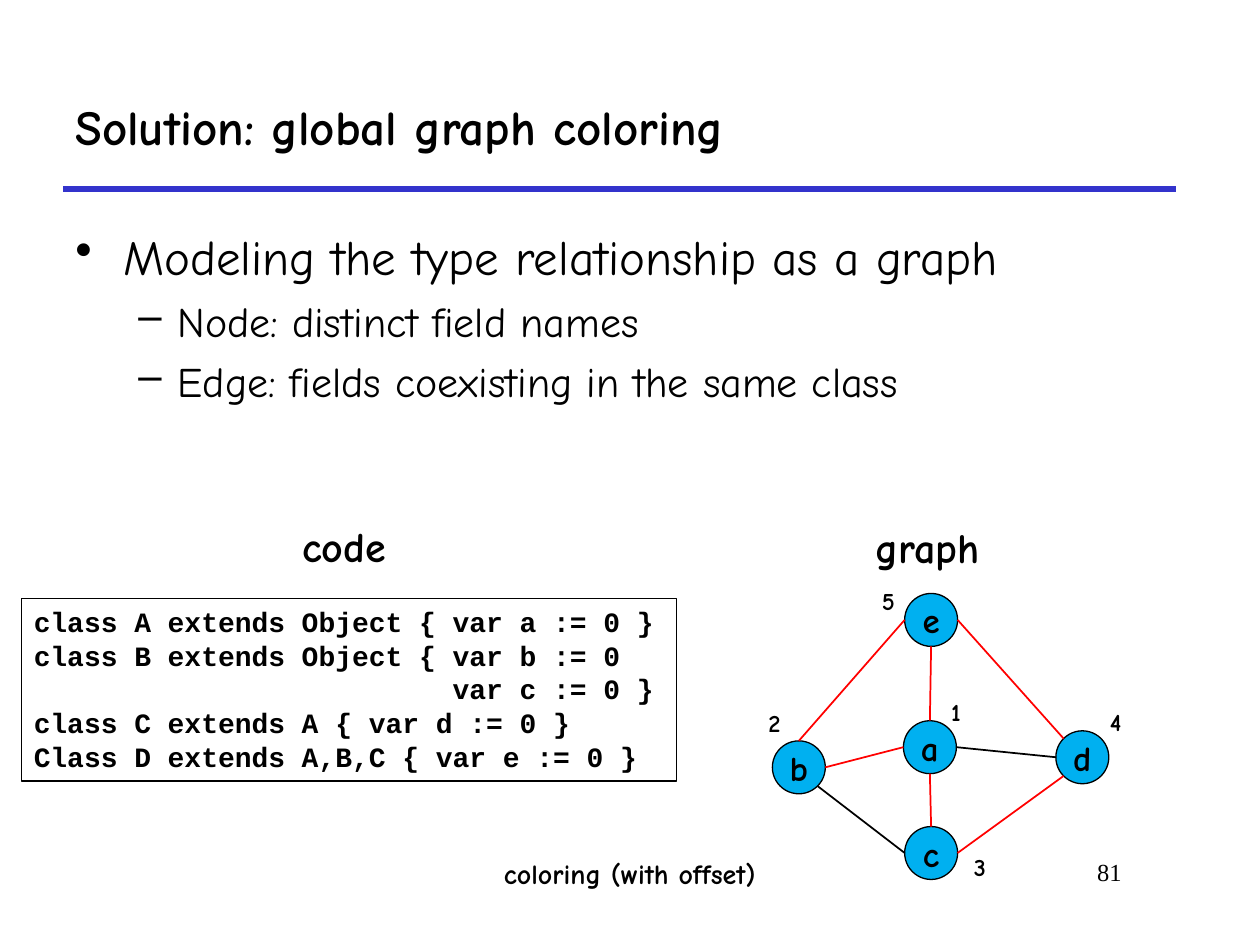
import math
from lxml import etree
from pptx import Presentation
from pptx import util as u
from pptx.dml.color import RGBColor
from pptx.enum import shapes, text
from pptx.oxml.ns import qn

# Content
COMIC, MONO, SERIF = "Comic Neue", "Courier New", "Times New Roman"
BLACK, RED, BLUE, RULE = "000000", "FF0000", "00B0F0", "3333CC"

TITLE = "Solution: global graph coloring"
BULLETS = [  # text, size, bullet, left margin, hanging indent, space before
    ("Modeling the type relationship as a graph", 28, "•", 0.38, 0.38, 0),
    ("Node: distinct field names", 24, "–", 0.81, 0.31, 5.5),
    ("Edge: fields coexisting in the same class", 24, "–", 0.81, 0.31, 5.5),
]
CODE = [
    "class A extends Object { var a := 0 }",
    "class B extends Object { var b := 0",
    "                         var c := 0 }",
    "class C extends A { var d := 0 }",
    "Class D extends A,B,C { var e := 0 }",
]
LABELS = [  # text, box, size
    ("code", (2.3, 4.08, 0.94, 0.51), 24),
    ("graph", (6.85, 4.09, 1.09, 0.5), 24),
    ("coloring (with offset)", (3.9, 6.75, 2.45, 0.37), 16),
]
DIAMETER = 0.42
NODES = {  # name: left, top
    "e": (7.18, 4.71), "b": (6.13, 5.88), "c": (7.18, 6.56),
    "d": (8.38, 5.8), "a": (7.17, 5.72),
}
EDGES = [  # node, angle on its rim, node, angle on its rim, colour
    ("b", 45, "c", 180, BLACK), ("a", 0, "d", 180, BLACK),
    ("a", 270, "e", 90, RED), ("c", 270, "a", 90, RED),
    ("a", 180, "b", 0, RED), ("b", 270, "e", 180, RED),
    ("d", 225, "e", 0, RED), ("d", 135, "c", 0, RED),
]
OFFSETS = {  # colour number: left, top
    "1": (7.45, 5.48), "2": (6, 5.57), "5": (6.9, 4.6),
    "3": (7.63, 6.71), "4": (8.71, 5.56),
}

prs = Presentation()
prs.slide_width, prs.slide_height = u.Inches(10), u.Inches(7.5)
s = prs.slides.add_slide(prs.slide_layouts[6])


def rgb(value):
    return RGBColor.from_string(value)


def style(p, size, name=COMIC, bold=True):
    for key, value in {"size": u.Pt(size), "name": name, "bold": bold}.items():
        setattr(p.font, key, value)
    p.font.color.rgb = rgb(BLACK)


def text_box(lines, box, size, name=COMIC, bold=True, wrap=False,
             anchor=text.MSO_ANCHOR.TOP, align=text.PP_ALIGN.LEFT):
    sp = s.shapes.add_textbox(*map(u.Inches, box))
    tf = sp.text_frame
    tf.word_wrap, tf.vertical_anchor = wrap, anchor
    for i, line in enumerate(lines):
        p = tf.add_paragraph() if i else tf.paragraphs[0]
        p.text, p.alignment = line, align
        style(p, size, name, bold)
    return sp


def line(start, end, color, width):
    cx = s.shapes.add_connector(
        shapes.MSO_CONNECTOR.STRAIGHT, *map(u.Inches, (*start, *end)))
    cx.line.color.rgb, cx.line.width = rgb(color), u.Pt(width)
    etree.SubElement(cx._element.spPr, qn("a:effectLst"))


def rim(name, angle):
    """Point on a node's circle; angles run clockwise from the right."""
    r, a = DIAMETER / 2, math.radians(angle)
    left, top = NODES[name]
    return left + r + r * math.cos(a), top + r + r * math.sin(a)


# Title and rule
line((0.5, 1.5), (9.33, 1.5), RULE, 3)
text_box([TITLE], (0.5, 0.5, 8.83, 1), 28, wrap=True,
         anchor=text.MSO_ANCHOR.MIDDLE)

# Bullets
body = text_box([b[0] for b in BULLETS], (0.5, 1.75, 9.08, 4.83), 24,
                bold=False, wrap=True)
for p, (_, size, mark, margin, hang, before) in zip(
        body.text_frame.paragraphs, BULLETS):
    p.level = 0 if mark == "•" else 1
    p.space_before = u.Pt(before)
    pPr = p._p.get_or_add_pPr()
    pPr.set("marL", str(u.Inches(margin)))
    pPr.set("indent", str(-u.Inches(hang)))
    bu = etree.Element(qn("a:buChar"), char=mark)
    pPr.find(qn("a:spcBef")).addnext(bu)
    style(p, size, bold=False)

# Slide number
text_box(["81"], (7.58, 6.75, 1.42, 0.5), 14, SERIF, bold=False, wrap=True,
         align=text.PP_ALIGN.RIGHT)

# Code listing and labels
code = text_box(CODE, (0.17, 4.75, 5.2, 1.45), 16, MONO)
code.line.color.rgb, code.line.width = rgb(BLACK), u.Pt(1)
for label, box, size in LABELS:
    text_box([label], box, size)

# Graph nodes
for name, (left, top) in NODES.items():
    sp = s.shapes.add_shape(
        shapes.MSO_SHAPE.OVAL, *map(u.Inches, (left, top, DIAMETER, DIAMETER)))
    sp.shadow.inherit = False
    sp.fill.solid()
    sp.fill.fore_color.rgb = rgb(BLUE)
    sp.line.color.rgb, sp.line.width = rgb(BLACK), u.Pt(0.75)
    tf = sp.text_frame
    for side in ("left", "top", "right", "bottom"):
        setattr(tf, f"margin_{side}", 0)
    tf.word_wrap, tf.vertical_anchor = False, text.MSO_ANCHOR.MIDDLE
    p = tf.paragraphs[0]
    p.text, p.alignment = name, text.PP_ALIGN.CENTER
    style(p, 20)

# Graph edges and offsets
for first, a, second, b, color in EDGES:
    line(rim(first, a), rim(second, b), color, 1)
for number, (left, top) in OFFSETS.items():
    text_box([number], (left, top, 0.32, 0.34), 14)

prs.save("out.pptx")
